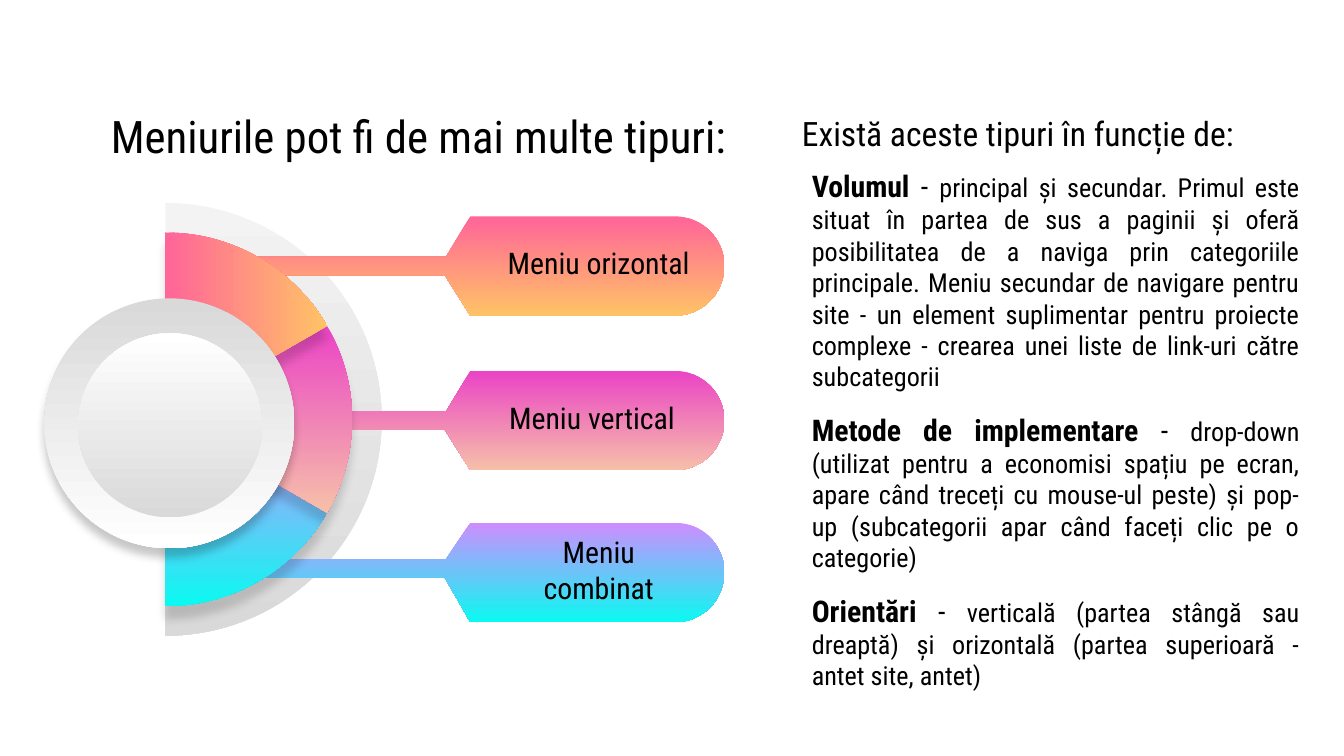
from math import cos, radians, sin, tan

from lxml.etree import SubElement
from pptx import Presentation
from pptx.dml.color import RGBColor
from pptx.enum.shapes import MSO_SHAPE as Shape
from pptx.enum.text import MSO_ANCHOR as Anchor, MSO_AUTO_SIZE as AutoSize, PP_ALIGN as Align
from pptx.oxml.ns import qn
from pptx.util import Pt

PX = 9144  # 100 px to the inch


def emu(*lengths):
    return [round(length * PX) for length in lengths]


def color(hex_text):
    return RGBColor.from_string(hex_text)


def add_text(para, text, size=16, bold=False, font="Roboto Condensed", fill="000000"):
    span = para.add_run()
    span.text = text
    span.font.size = Pt(size)
    span.font.bold = bold
    span.font.name = font
    span.font.color.rgb = color(fill)


def arc(center_x, center_y, radius, *angles):
    """Steps of an arc through the given angles: a start point, then one curve per span."""
    def spot(angle, pull=0):
        turn = radians(angle)
        return (center_x + radius * (cos(turn) - pull * sin(turn)),
                center_y + radius * (sin(turn) + pull * cos(turn)))

    steps = [[spot(angles[0])]]
    for start, end in zip(angles, angles[1:]):
        pull = 4 / 3 * tan(radians(end - start) / 4)
        steps.append([spot(start, pull), spot(end, -pull), spot(end)])
    return steps


class SlideBuilder:
    def __init__(self, slide):
        self.slide = slide
        self.shapes = slide.shapes

    def paint(self, shape, colors, angle=90, shadow=None):
        """Fill with a gradient (clockwise angle); shadow is (opacity %, distance pt)."""
        shape.fill.gradient()
        shape.fill.gradient_angle = (360 - angle) % 360
        for stop, hex_text in zip(shape.fill.gradient_stops, colors):
            stop.color.rgb = color(hex_text)
        shape.line.fill.background()
        shape.shadow.inherit = False
        if shadow:
            opacity, distance = shadow
            effects = shape._element.spPr.find(qn("a:effectLst"))
            outer = SubElement(effects, qn("a:outerShdw"), blurRad=str(Pt(4.5)),
                               dist=str(Pt(distance)), dir="5400000",
                               algn="bl", rotWithShape="0")
            black = SubElement(outer, qn("a:srgbClr"), val="000000")
            SubElement(black, qn("a:alpha"), val=str(opacity * 1000))

    def outline(self, steps, colors, **style):
        """Each step is one point for a line, or three for a Bézier curve."""
        corners = [emu(*point) for step in steps for point in step]
        builder = self.shapes.build_freeform(*corners[0], scale=1.0)
        builder.add_line_segments(corners[1:], close=True)
        shape = builder.convert_to_shape()
        # Join the three points of each curve into one segment
        lines = iter(list(shape._element.iter(qn("a:lnTo"))))
        for step in steps[1:]:
            segment, *others = [next(lines) for _ in step]
            if others:
                segment.tag = qn("a:cubicBezTo")
            for other in others:
                segment.append(other[0])
                other.getparent().remove(other)
        self.paint(shape, colors, **style)

    def sector(self, radius, angles, colors, **style):
        self.outline([[(123, 312)]] + arc(123, 312, radius, *angles), colors, **style)

    def callout(self, middle, bar_middle, colors):
        top, bottom = middle - 37, middle + 37
        bar_top, bar_bottom = bar_middle - 7, bar_middle + 7
        points = [(350, top), (332, bar_top), (178, bar_top), (178, bar_bottom),
                  (331, bar_bottom), (350, bottom)]
        self.outline([[point] for point in points] + arc(502, middle, 37, 90, 0, -90), colors)

    def circle(self, left, top, size, colors, **style):
        shape = self.shapes.add_shape(Shape.OVAL, *emu(left, top, size, size))
        self.paint(shape, colors, **style)

    def frame(self, box, anchor=Anchor.TOP):
        frame = box.text_frame
        frame.word_wrap = True
        frame.auto_size = AutoSize.NONE
        frame.vertical_anchor = anchor
        frame.margin_left, frame.margin_top, frame.margin_right, frame.margin_bottom = emu(10, 10, 10, 10)
        return frame

    def place(self, box, area):
        box.left, box.top, box.width, box.height = emu(*area)

    def title(self, text, area):
        box = self.shapes.title
        self.place(box, area)
        para = self.frame(box).paragraphs[0]
        para.alignment = Align.CENTER
        add_text(para, text, size=24)

    def label(self, text, area, size=16, anchor=Anchor.MIDDLE):
        box = self.shapes.add_textbox(*emu(*area))
        para = self.frame(box, anchor).paragraphs[0]
        para.alignment = Align.CENTER
        add_text(para, text, size=size)

    def body(self, items, area):
        box = self.slide.placeholders[1]
        self.place(box, area)
        frame = self.frame(box, Anchor.MIDDLE)
        for index, (term, dash, text) in enumerate(items):
            para = frame.add_paragraph() if index else frame.paragraphs[0]
            para.alignment = Align.JUSTIFY
            para.space_before = Pt(10.4 if index else 0)
            add_text(para, term, bold=True)
            add_text(para, dash)
            add_text(para, text, size=14)
            # No bullet and no hanging indent
            settings = para._p.get_or_add_pPr()
            settings.set("marL", "0")
            settings.set("indent", "0")
            SubElement(settings, qn("a:buNone"))


# Menu kinds: text, label area, callout middle, bar middle, colours, gradient angle, sector angles
MENUS = [
    ("Meniu orizontal", (362, 178, 167, 35), 198, 198, ("FF6599", "FFC366"), 0, (-90, -30)),
    ("Meniu vertical", (368, 293, 145, 35), 313, 313, ("EB44C5", "F6C0A9"), 90, (-30, 0, 30)),
    ("Meniu combinat", (366, 406, 159, 35), 426, 423, ("CE8DFF", "0AFAF1"), 90, (30, 90)),
]
CRITERIA = [
    ("Volumul", " - ",
     "principal și secundar. Primul este situat în partea de sus a paginii și oferă "
     "posibilitatea de a naviga prin categoriile principale. Meniu secundar de navigare "
     "pentru site - un element suplimentar pentru proiecte complexe - crearea unei liste "
     "de link-uri către subcategorii"),
    ("Metode de implementare ", "- ",
     "drop-down (utilizat pentru a economisi spațiu pe ecran, apare când treceți cu "
     "mouse-ul peste) și pop-up (subcategorii apar când faceți clic pe o categorie)"),
    ("Orientări ", "- ",
     "verticală (partea stângă sau dreaptă) și orizontală (partea superioară - "
     "antet site, antet)"),
]


def main():
    deck = Presentation()
    deck.slide_width, deck.slide_height = emu(1000, 562.5)
    page = SlideBuilder(deck.slides.add_slide(deck.slide_layouts[1]))

    page.title("Meniurile pot fi de mai multe tipuri:", (9, 71, 605, 63))

    # Half ring with one sector and callout per menu, lowest first
    page.sector(161, (-90, 0, 90), ("F3F3F3", "D9D9D9"))
    for _, _, middle, bar_middle, colors, angle, sector_angles in reversed(MENUS):
        page.callout(middle, bar_middle, colors)
        page.sector(139, sector_angles, colors, angle=angle, shadow=(15, 6.8))

    # Hub
    page.circle(33, 222, 186, ("D9D9D9", "FFFFFF"), shadow=(22, 4.5))
    page.circle(58, 248, 137, ("D9D9D9", "FFFFFF"), angle=270)

    # Callout labels
    for text, area, *_ in MENUS:
        page.label(text, area)

    # Right column
    page.label("Există aceste tipuri în funcție de:", (537, 74, 441, 63), size=18, anchor=Anchor.TOP)
    page.body(CRITERIA, (594, 123, 383, 393))

    deck.save("out.pptx")


if __name__ == "__main__":
    main()
